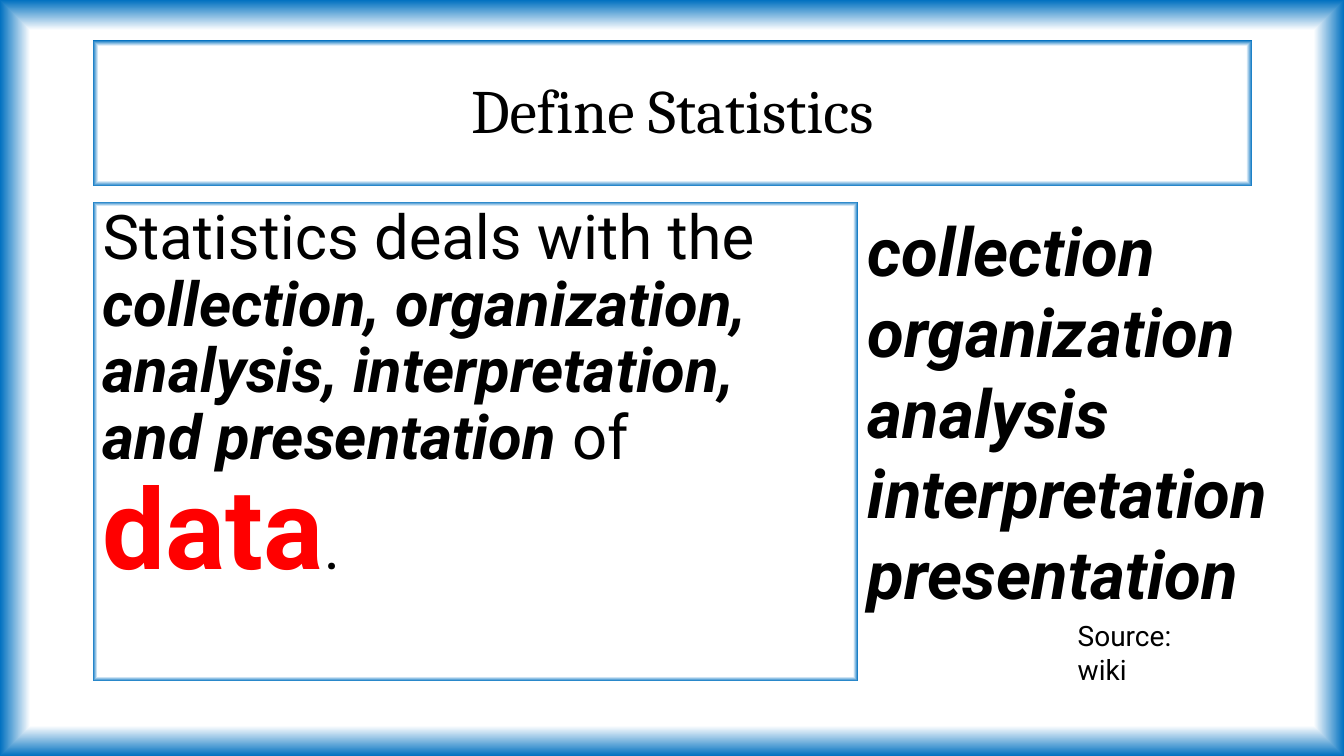
from dataclasses import dataclass

from lxml import etree
from pptx import Presentation
from pptx import util as u
from pptx.dml.color import RGBColor
from pptx.enum import shapes, text
from pptx.oxml.ns import qn


@dataclass(frozen=True)
class Theme:
    ink: str = "000000"
    accent: str = "FF0000"
    center: str = "FFFFFF"
    edge: str = "0070C0"
    heading_font: str = "Cambria"
    body_font: str = "Roboto"
    body_size: int = 44
    data_size: int = 80
    list_size: int = 48
    source_size: int = 20


class SlideBuilder:
    def __init__(self, presentation, theme):
        self.theme = theme
        self.slide = presentation.slides.add_slide(presentation.slide_layouts[6])

    def glow(self, fill, element, start):
        fill.solid()
        solid = next(element.iter(qn("a:solidFill")))
        gradient = etree.Element(qn("a:gradFill"), rotWithShape="1")
        stops = etree.SubElement(gradient, qn("a:gsLst"))
        for position, color in ((start, self.theme.center), (100, self.theme.edge)):
            stop = etree.SubElement(stops, qn("a:gs"), pos=str(position * 1000))
            etree.SubElement(stop, qn("a:srgbClr"), val=color)
        shade = etree.SubElement(gradient, qn("a:path"))
        shade.set("path", "rect")
        etree.SubElement(shade, qn("a:fillToRect"), dict.fromkeys("ltrb", "50000"))
        solid.getparent().replace(solid, gradient)

    def background(self, start):
        fill = self.slide.background.fill
        self.glow(fill, self.slide.element, start)

    def panel(self, box, start, paragraphs, **formats):
        shape = self.slide.shapes.add_shape(
            shapes.MSO_SHAPE.RECTANGLE, *map(u.Inches, box))
        shape.shadow.inherit = False
        self.glow(shape.fill, shape.element, start)
        shape.line.fill.background()
        self.fill_text(shape.text_frame, paragraphs, line_spacing=0.9, **formats)

    def label(self, box, paragraphs):
        shape = self.slide.shapes.add_textbox(*map(u.Inches, box))
        self.fill_text(shape.text_frame, paragraphs)

    def fill_text(self, frame, paragraphs, anchor=text.MSO_ANCHOR.TOP, **formats):
        frame.word_wrap = True
        frame.vertical_anchor = anchor
        for index, runs in enumerate(paragraphs):
            paragraph = frame.add_paragraph() if index else frame.paragraphs[0]
            for name, value in ({"alignment": text.PP_ALIGN.LEFT} | formats).items():
                setattr(paragraph, name, value)
            for wording, size, style in runs:
                self.add_words(paragraph, wording, size, **style)

    def add_words(self, paragraph, wording, size, color=None, **style):
        run = paragraph.add_run()
        run.text = wording
        values = {"name": self.theme.body_font, "size": u.Pt(size)} | style
        for name, value in values.items():
            setattr(run.font, name, value)
        run.font.color.rgb = RGBColor.from_string(color or self.theme.ink)


theme = Theme()
presentation = Presentation()
presentation.slide_width = u.Inches(13.33)
presentation.slide_height = u.Inches(7.5)
builder = SlideBuilder(presentation, theme)
emphasis = {"bold": True, "italic": True}
size = theme.body_size

builder.background(92)
builder.panel(
    (0.92, 0.4, 11.5, 1.45), 92,
    [[("Define Statistics", size, {"name": theme.heading_font})]],
    anchor=text.MSO_ANCHOR.MIDDLE, alignment=text.PP_ALIGN.CENTER)
builder.panel((0.92, 2, 7.59, 4.76), 98, [
    [("Statistics deals with the ", size, {}),
     ("collection, organization, analysis, interpretation, and presentation",
      size, emphasis),
     (" of", size, {})],
    [("data", theme.data_size, {"bold": True, "color": theme.accent}),
     (".", size, {})],
])
builder.label((10.59, 6.09, 1.62, 0.44),
              [[("Source: wiki", theme.source_size, {})]])
activities = ("collection", "organization", "analysis",
              "interpretation", "presentation")
builder.label((8.51, 2.03, 4.18, 4.14),
              [[(activity, theme.list_size, emphasis)] for activity in activities])

presentation.save("out.pptx")
